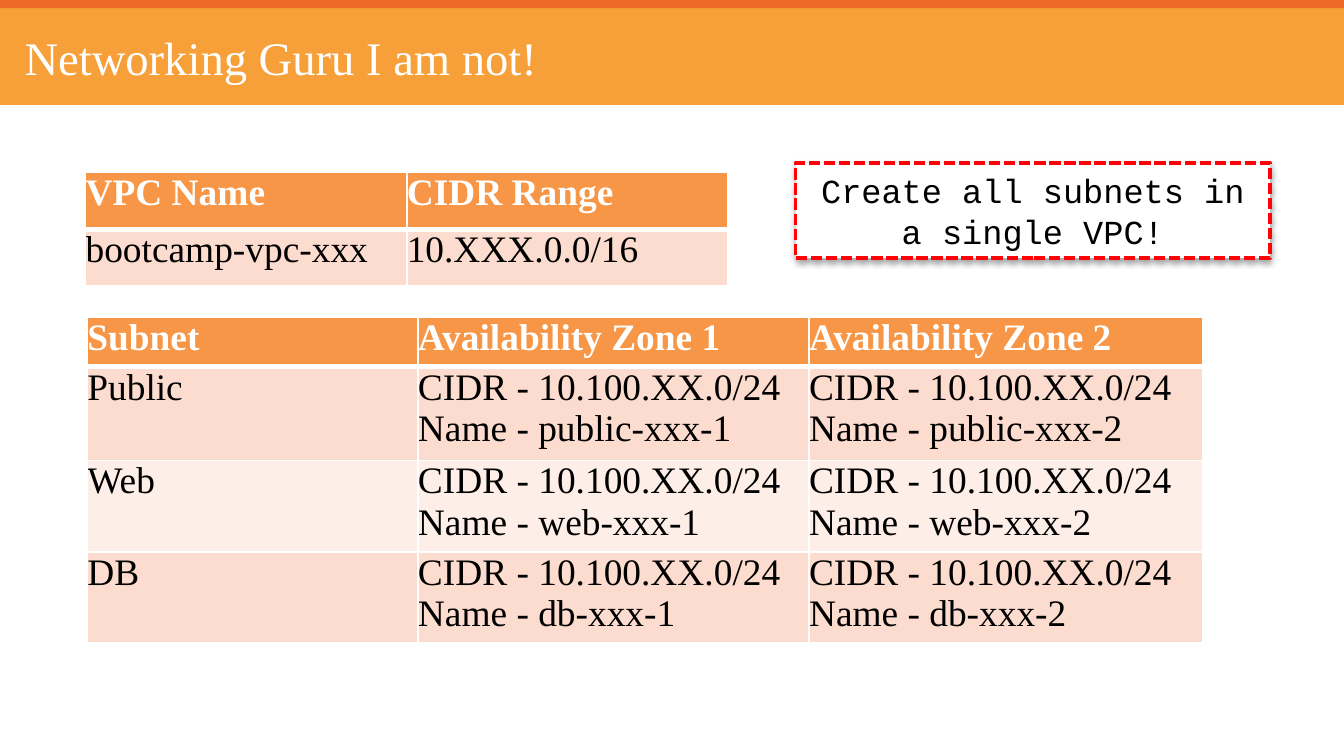
"""Build a slide with a VPC table, a subnet table and a boxed reminder."""
from dataclasses import dataclass

import pptx
import pptx.dml.color
import pptx.enum.dml
import pptx.enum.shapes
import pptx.enum.text
import pptx.oxml.ns
import pptx.util
from lxml import etree

WIDE = pptx.util.Inches(10)
HIGH = WIDE * 9 // 16
SERIF, MONO = "Times New Roman", "Courier New"
WHITE, BLACK, HEAD = "FFFFFF", "000000", "F79646"
BANDS = ("FCDCCE", "FDEEE8")
ZONES = (1, 2)


@dataclass
class Area:
    left: float
    top: float
    width: float
    height: float

    def place(self) -> tuple:
        return across(self.left), down(self.top), across(self.width), down(self.height)


@dataclass
class Grid:
    left: float
    top: float
    cols: list
    rows: list
    cells: list

    def area(self) -> Area:
        return Area(self.left, self.top, sum(self.cols), sum(self.rows))


def across(share: float) -> int:
    return int(WIDE * share / 100)


def down(share: float) -> int:
    return int(HIGH * share / 100)


def paint(color, code: str) -> None:
    color.rgb = pptx.dml.color.RGBColor.from_string(code)


def fill(thing, code: str) -> None:
    thing.fill.solid()
    paint(thing.fill.fore_color, code)


def style(frame, size: float, face: str, code: str, bold: bool = False) -> None:
    for para in frame.paragraphs:
        for run in para.runs:
            run.font.size = pptx.util.Pt(size)
            run.font.name = face
            run.font.bold = bold
            paint(run.font.color, code)


def inset(thing, size: float) -> None:
    thing.margin_left = thing.margin_right = pptx.util.Inches(size)
    thing.margin_top = thing.margin_bottom = pptx.util.Inches(size)


def node(parent, tag: str, **attrs):
    return etree.SubElement(parent, pptx.oxml.ns.qn(tag), attrs)


def box(slide, area: Area, code: str):
    shape = slide.shapes.add_shape(pptx.enum.shapes.MSO_SHAPE.RECTANGLE, *area.place())
    shape.shadow.inherit = False
    fill(shape, code)
    shape.line.fill.background()
    return shape


def edge(cell, side: str, width: float) -> None:
    props = cell._tc.get_or_add_tcPr()
    line = node(props, f"a:ln{side}", w=str(pptx.util.Pt(width)))
    node(node(line, "a:solidFill"), "a:srgbClr", val=WHITE)


def draw_grid(slide, grid: Grid) -> None:
    frame = slide.shapes.add_table(len(grid.rows), len(grid.cols), *grid.area().place())
    table = frame.table
    for col, width in zip(table.columns, grid.cols):
        col.width = across(width)
    for i, (row, height) in enumerate(zip(table.rows, grid.rows)):
        row.height = down(height)
        for cell, text in zip(row.cells, grid.cells[i]):
            cell.text_frame.text = text
            inset(cell, 0)
            for side in "LRTB":
                thick = (i, side) in ((0, "B"), (1, "T"))
                edge(cell, side, 3 if thick else 1)
            fill(cell, BANDS[(i - 1) % 2] if i else HEAD)
            style(cell.text_frame, 20, SERIF, BLACK if i else WHITE, not i)


def draw_title(slide, text: str) -> None:
    box(slide, Area(0, 1.07, 100, 12.8), "F79F38")
    box(slide, Area(0, 0, 100, 1.07), "ED6925")
    title = slide.shapes.title
    title.element.getparent().append(title.element)
    title.left, title.top, title.width, title.height = Area(1.33, 2.5, 97.6, 10).place()
    frame = title.text_frame
    frame.text = text
    inset(frame, 0.05)
    frame.auto_size = pptx.enum.text.MSO_AUTO_SIZE.NONE
    frame.vertical_anchor = pptx.enum.text.MSO_ANCHOR.MIDDLE
    frame.paragraphs[0].alignment = pptx.enum.text.PP_ALIGN.LEFT
    style(frame, 25, SERIF, WHITE)


def draw_note(slide, text: str) -> None:
    note = box(slide, Area(59.2, 21.55, 35.3, 12.6), WHITE)
    paint(note.line.color, "FF0205")
    note.line.width = pptx.util.Pt(2)
    note.line.dash_style = pptx.enum.dml.MSO_LINE.SQUARE_DOT
    effect = note.element.spPr.find(pptx.oxml.ns.qn("a:effectLst"))
    shade = node(effect, "a:outerShdw", blurRad=str(pptx.util.Pt(3)),
                 dist=str(pptx.util.Pt(1.8)), dir="5400000", rotWithShape="0")
    node(node(shade, "a:srgbClr", val=BLACK), "a:alpha", val="35000")
    frame = note.text_frame
    frame.text = text
    frame.word_wrap = True
    frame.auto_size = pptx.enum.text.MSO_AUTO_SIZE.SHAPE_TO_FIT_TEXT
    inset(frame, 0.05)
    frame.paragraphs[0].alignment = pptx.enum.text.PP_ALIGN.CENTER
    style(frame, 18, MONO, BLACK)


def subnet(name: str) -> list:
    tag = name.lower()
    return [name] + [f"CIDR - 10.100.XX.0/24\vName - {tag}-xxx-{zone}" for zone in ZONES]


def main() -> None:
    deck = pptx.Presentation()
    deck.slide_width, deck.slide_height = WIDE, HIGH
    slide = deck.slides.add_slide(deck.slide_layouts[5])
    draw_title(slide, "Networking Guru I am not!")
    heads = ["Subnet"] + [f"Availability Zone {zone}" for zone in ZONES]
    nets = [subnet(name) for name in ("Public", "Web", "DB")]
    draw_grid(slide, Grid(6.5, 42, [24.6, 29.1, 29.3], [6.5, 12.4, 12.1, 12.1],
                          [heads] + nets))
    draw_grid(slide, Grid(6.37, 22.8, [23.9] * 2, [7.5] * 2,
                          [["VPC Name", "CIDR Range"],
                           ["bootcamp-vpc-xxx", "10.XXX.0.0/16"]]))
    draw_note(slide, "Create all subnets in a single VPC!")
    deck.save("out.pptx")


if __name__ == "__main__":
    main()
